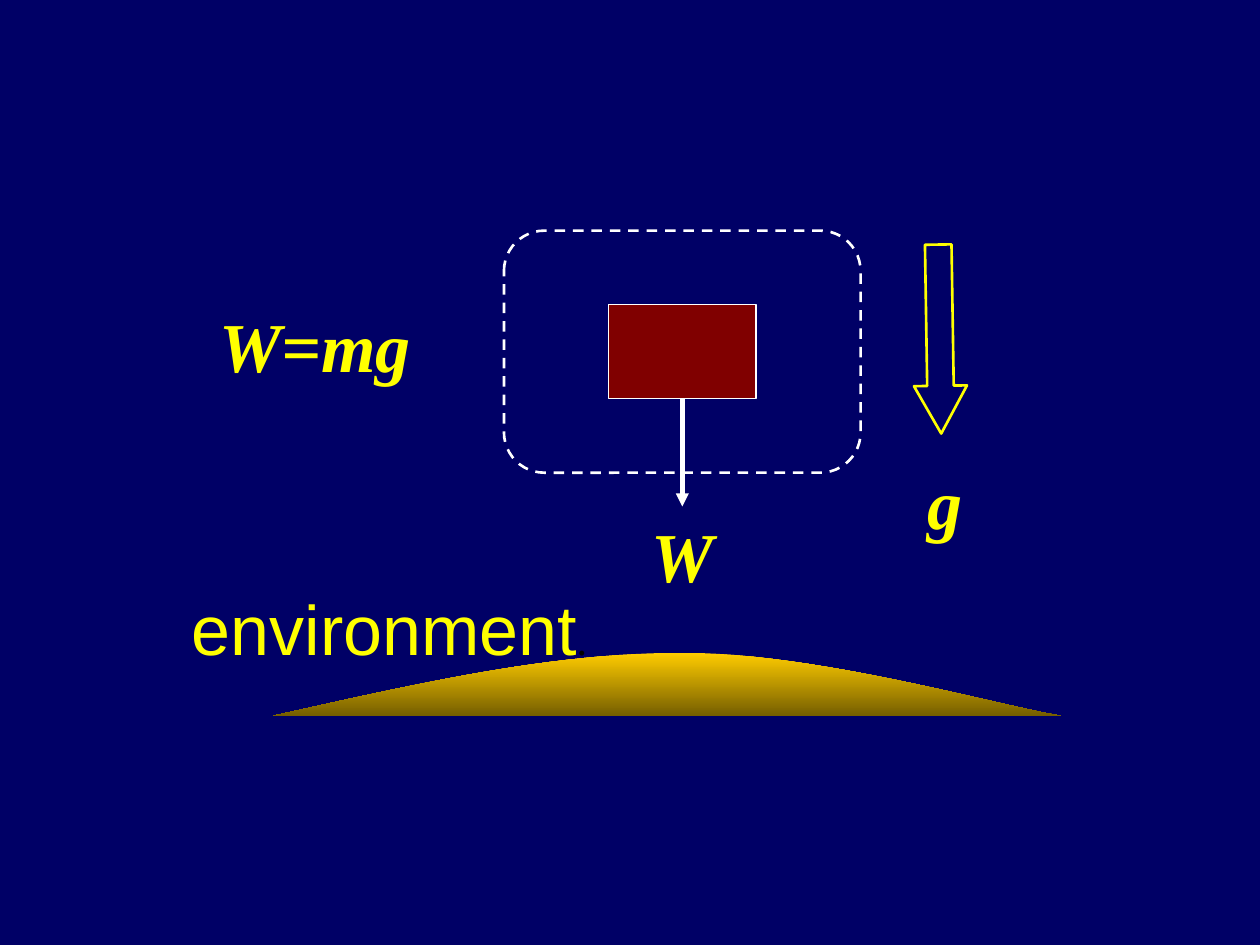
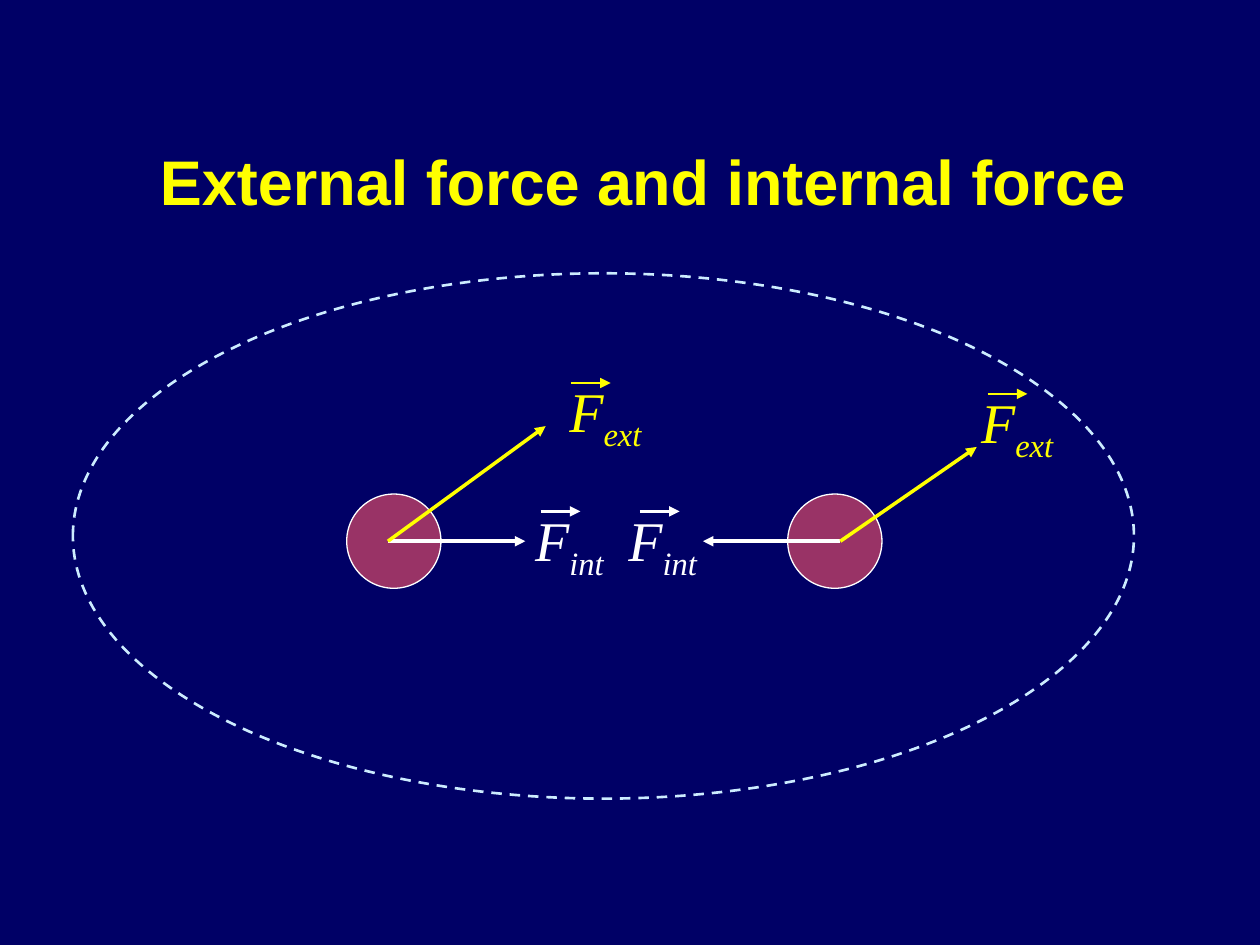
from pptx import Presentation
from pptx.dml.color import RGBColor
from pptx.enum.dml import MSO_LINE
from pptx.enum.shapes import MSO_CONNECTOR, MSO_SHAPE
from pptx.enum.text import MSO_ANCHOR, MSO_AUTO_SIZE, PP_ALIGN
from pptx.oxml.ns import qn
from pptx.util import Cm, Pt
from lxml.etree import SubElement

COLOURS = {
    "background": "000066", "yellow": "FFFF00", "white": "FFFFFF",
    "black": "000000", "block": "800000", "particle": "993366",
    "boundary": "CCECFF", "hill_top": "FFCC00", "hill_base": "755E00",
}
SANS = "Arial"
SERIF = "Times New Roman"
LABEL_HEIGHT = 1.96


def colour(name):
    """Return the named colour."""
    return RGBColor.from_string(COLOURS[name])


def add_outline(slide, kind, box, line, width, fill=None, dashed=False):
    """Add a preset shape with an outline and an optional fill."""
    shape = slide.shapes.add_shape(kind, *(Cm(value) for value in box))
    shape.shadow.inherit = False
    if fill:
        shape.fill.solid()
        shape.fill.fore_color.rgb = colour(fill)
    else:
        shape.fill.background()
    shape.line.color.rgb = colour(line)
    shape.line.width = Pt(width)
    if dashed:
        shape.line.dash_style = MSO_LINE.DASH
    return shape


def add_arrow(slide, start, end, line, width):
    """Add a straight arrow that points at its end."""
    connector = slide.shapes.add_connector(
        MSO_CONNECTOR.STRAIGHT, *(Cm(value) for value in (*start, *end)))
    connector.line.color.rgb = colour(line)
    connector.line.width = Pt(width)
    properties = connector._element.spPr
    SubElement(properties.find(qn("a:ln")), qn("a:tailEnd"), type="triangle")
    SubElement(properties, qn("a:effectLst"))


def add_run(paragraph, text, size, font, ink, bold=False, italic=False):
    """Add one formatted run to a paragraph."""
    run = paragraph.add_run()
    run.text = text
    run.font.size = Pt(size)
    run.font.name = font
    run.font.color.rgb = colour(ink)
    run.font.bold = bold
    run.font.italic = italic
    return run


def add_label(slide, box, alignment=PP_ALIGN.CENTER, wrap=True):
    """Add a text box and return its first paragraph."""
    frame = slide.shapes.add_textbox(*(Cm(value) for value in box)).text_frame
    frame.word_wrap = wrap
    frame.auto_size = MSO_AUTO_SIZE.SHAPE_TO_FIT_TEXT
    paragraph = frame.paragraphs[0]
    paragraph.alignment = alignment
    return paragraph


def add_symbol(slide, text, box):
    """Add a bold italic symbol or formula."""
    add_run(add_label(slide, box), text, 40, SERIF, "yellow", True, True)


def add_title(slide, text, box):
    """Place and format the title placeholder."""
    title = slide.shapes.title
    title.left, title.top, title.width, title.height = (Cm(value) for value in box)
    frame = title.text_frame
    frame.word_wrap = False
    frame.auto_size = MSO_AUTO_SIZE.NONE
    frame.vertical_anchor = MSO_ANCHOR.TOP
    frame.paragraphs[0].alignment = PP_ALIGN.LEFT
    add_run(frame.paragraphs[0], text, 36, SANS, "yellow", bold=True)


def add_weighted_block(slide, box):
    """Draw a block centred in its system boundary, with its weight below."""
    left, top, width, height = box
    block_width, block_height = 2.97, 1.9
    centre = left + width / 2
    block_top = top + (height - block_height) / 2
    block_base = block_top + block_height
    weight_tip = top + height + 0.68
    label_width = 2.11
    add_outline(slide, MSO_SHAPE.RECTANGLE,
                (centre - block_width / 2, block_top, block_width, block_height),
                "white", 0.75, fill="block")
    add_outline(slide, MSO_SHAPE.ROUNDED_RECTANGLE, box, "white", 1.5, dashed=True)
    add_arrow(slide, (centre, block_base), (centre, weight_tip), "white", 2.5)
    add_symbol(slide, "W", (centre - label_width / 2, weight_tip, label_width, LABEL_HEIGHT))


def add_gravity(slide, box):
    """Draw the downward block arrow with its symbol beneath."""
    left, top, width, length = box
    arrow = add_outline(slide, MSO_SHAPE.LEFT_ARROW,
                        (left + (width - length) / 2, top + (length - width) / 2,
                         length, width), "yellow", 1.5)
    arrow.adjustments[0] = 0.5
    arrow.adjustments[1] = 0.9
    arrow.rotation = 269.1
    add_symbol(slide, "g", (left - 0.2, top + length + 0.4, 1.7, LABEL_HEIGHT))


def bezier_points(points, steps=24):
    """Return points along a cubic curve, without its start."""
    curve = []
    for step in range(1, steps + 1):
        t = step / steps
        weights = ((1 - t) ** 3, 3 * t * (1 - t) ** 2, 3 * t ** 2 * (1 - t), t ** 3)
        curve.append(tuple(sum(weight * point[axis] for weight, point in zip(weights, points))
                           for axis in (0, 1)))
    return curve


def add_hill(slide, box):
    """Draw the ground as a curved hill with a vertical gradient."""
    left, top, width, height = box
    summit = (0.52, 0)
    rise = ((0, 1), (0.18, 0.5), (0.35, 0), summit)
    descent = (summit, (0.69, 0), (0.92, 0.84), (1, 1))
    outline = [(Cm(left + x * width), Cm(top + y * height))
               for x, y in bezier_points(rise) + bezier_points(descent)]
    builder = slide.shapes.build_freeform(Cm(left), Cm(top + height))
    builder.add_line_segments(outline, close=True)
    hill = builder.convert_to_shape()
    hill.shadow.inherit = False
    hill.line.fill.background()
    hill.fill.gradient()
    hill.fill.gradient_angle = 270
    for stop, name in zip(hill.fill.gradient_stops, ("hill_top", "hill_base")):
        stop.color.rgb = colour(name)


def add_force_label(slide, subscript, box, ink, vector_offset):
    """Write F with a subscript and a vector arrow above it."""
    left, top = box[:2]
    paragraph = add_label(slide, box, PP_ALIGN.LEFT, wrap=False)
    add_run(paragraph, "F", 32, SERIF, ink, italic=True)
    run = add_run(paragraph, subscript, 32, SERIF, ink, italic=True)
    run._r.get_or_add_rPr().set("baseline", "-25000")
    vector_left, vector_top = left + vector_offset, top + 0.25
    add_arrow(slide, (vector_left, vector_top), (vector_left + 0.8, vector_top), ink, 1.5)


def add_particle_system(slide, box):
    """Draw two particles with their forces inside a dashed boundary."""
    left, top, width, height = box
    diameter = 1.9
    particle_top = top + 4.45
    axis = particle_top + diameter / 2
    for offset in (5.52, 14.41):
        add_outline(slide, MSO_SHAPE.OVAL,
                    (left + offset, particle_top, diameter, diameter),
                    "white", 0.75, fill="particle")
    add_outline(slide, MSO_SHAPE.OVAL, box, "boundary", 1.5, dashed=True)
    for start, internal_reach, external_reach in (
            (6.35, 2.77, (3.18, -2.32)), (15.47, -2.77, (2.75, -1.9))):
        origin = (left + start, axis)
        add_arrow(slide, origin, (origin[0] + internal_reach, axis), "white", 2)
        add_arrow(slide, origin,
                  (origin[0] + external_reach[0], axis + external_reach[1]), "yellow", 2)
    for subscript, x, y, label_width, ink, vector_offset in (
            ("int", 9.07, 4.55, 1.9, "white", 0.36),
            ("int", 10.95, 4.55, 1.9, "white", 0.48),
            ("ext", 9.76, 1.96, 1.96, "yellow", 0.28),
            ("ext", 18.06, 2.18, 1.96, "yellow", 0.38)):
        add_force_label(slide, subscript, (left + x, top + y, label_width, 1.8),
                        ink, vector_offset)


def build_weight_slide(presentation):
    """Build the slide on weight."""
    slide = presentation.slides.add_slide(presentation.slide_layouts[6])
    paragraph = add_label(slide, (3.61, 11.68, 8.48, LABEL_HEIGHT), wrap=False)
    add_run(paragraph, "environment", 40, SANS, "yellow")
    add_run(paragraph, ".", 24, SERIF, "black")
    add_weighted_block(slide, (10.16, 4.65, 7.19, 4.88))
    add_symbol(slide, "W=mg", (3.81, 5.97, 5.08, LABEL_HEIGHT))
    add_gravity(slide, (18.41, 4.93, 1.07, 3.81))
    add_hill(slide, (5.51, 13.16, 15.88, 1.27))


def build_force_slide(presentation):
    """Build the slide on external and internal force."""
    slide = presentation.slides.add_slide(presentation.slide_layouts[5])
    add_title(slide, "External force and internal force", (2.97, 2.74, 19.99, 1.78))
    add_particle_system(slide, (1.47, 5.51, 21.39, 10.59))


def main():
    """Build and save the presentation."""
    presentation = Presentation()
    presentation.slide_width = Cm(25.4)
    presentation.slide_height = Cm(19.05)
    background = presentation.slide_master.background.fill
    background.solid()
    background.fore_color.rgb = colour("background")
    build_weight_slide(presentation)
    build_force_slide(presentation)
    presentation.save("out.pptx")


if __name__ == "__main__":
    main()
